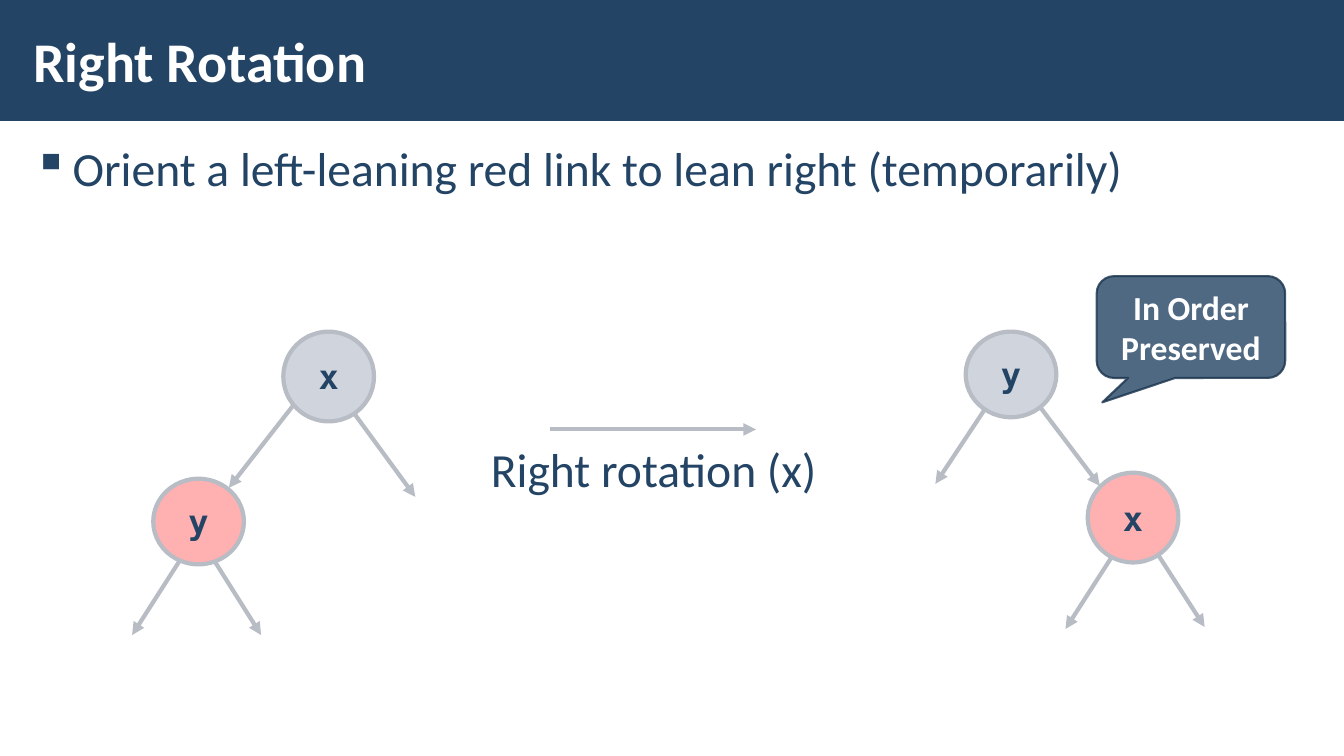
from dataclasses import dataclass

from lxml import etree
from pptx import Presentation
from pptx.dml.color import RGBColor
from pptx.enum.shapes import MSO_CONNECTOR, MSO_SHAPE
from pptx.enum.text import MSO_ANCHOR, PP_ALIGN
from pptx.oxml.ns import qn
from pptx.util import Inches, Pt

RECTANGLE, OVAL = MSO_SHAPE.RECTANGLE, MSO_SHAPE.OVAL
CALLOUT = MSO_SHAPE.ROUNDED_RECTANGULAR_CALLOUT
STRAIGHT = MSO_CONNECTOR.STRAIGHT
TOP, MIDDLE = MSO_ANCHOR.TOP, MSO_ANCHOR.MIDDLE
LEFT, CENTER = PP_ALIGN.LEFT, PP_ALIGN.CENTER

WIDTH, HEIGHT = Inches(13.33), Inches(7.5)
NAVY, DARK, WHITE = "234465", "1A334C", "FFFFFF"
GREY, SLATE, PINK = "B8BCC4", "A3ABBC", "FFB0B0"
SANS, MONO = "Calibri", "DejaVu Sans Mono"
NODE_WIDTH = 6.75


@dataclass(frozen=True)
class Area:
    left: float
    top: float
    width: float
    height: float


@dataclass(frozen=True)
class Style:
    size: float
    color: str = NAVY
    bold: bool = False
    font: str = SANS
    align: PP_ALIGN = LEFT
    anchor: MSO_ANCHOR = TOP
    wrap: bool = True
    line_spacing: float = 1.0
    gap: float = 0
    bullet: str = ""


@dataclass(frozen=True)
class Node:
    label: str
    left: float
    top: float
    height: float
    fill: str
    opacity: int = 100


@dataclass(frozen=True)
class Arrow:
    x1: float
    y1: float
    x2: float
    y2: float


NODES = (
    Node("x", 21.08, 43.87, 11.87, SLATE, 50),
    Node("y", 11.4, 63.33, 11.33, PINK),
    Node("x", 80.93, 62.53, 11.87, PINK),
    Node("y", 71.85, 43.87, 11.33, SLATE, 50),
)
ARROWS = (
    Arrow(40.95, 56.8, 56.25, 56.8),
    Arrow(21.83, 53.6, 17.03, 64.53),
    Arrow(13.43, 74, 9.83, 84),
    Arrow(15.98, 74.27, 19.43, 84),
    Arrow(26.4, 54.8, 30.9, 65.73),
    Arrow(77.4, 53.87, 81.83, 64.27),
    Arrow(73.28, 54.13, 69.6, 64),
    Arrow(82.65, 73.87, 79.28, 83.2),
    Arrow(86.1, 73.2, 89.63, 82.93),
)
TITLE = Style(40, WHITE, bold=True, anchor=MIDDLE)
BODY = Style(34, line_spacing=1.05, gap=6, bullet="▪")
CAPTION = Style(34, align=CENTER, line_spacing=0.95, gap=6)
NOTE = Style(24, WHITE, bold=True, align=CENTER, anchor=MIDDLE)
KEY = Style(24, bold=True, font=MONO, align=CENTER, anchor=MIDDLE, wrap=False)


def rgb(value: str) -> RGBColor:
    return RGBColor.from_string(value)


def across(share: float) -> int:
    return round(WIDTH * share / 100)


def down(share: float) -> int:
    return round(HEIGHT * share / 100)


def bounds(area: Area) -> tuple[int, int, int, int]:
    return across(area.left), down(area.top), across(area.width), down(area.height)


def set_opacity(paint, percent: int) -> None:
    """Make the solid colours below an XML element partly transparent."""
    if percent < 100:
        for color in paint.iter(qn("a:srgbClr")):
            etree.SubElement(color, qn("a:alpha"), val=str(percent * 1000))


def write(box, text: str, style: Style) -> None:
    frame = box.text_frame
    frame.word_wrap = style.wrap
    frame.vertical_anchor = style.anchor
    para = frame.paragraphs[0]
    para.alignment = style.align
    para.line_spacing = style.line_spacing
    para.space_before = para.space_after = Pt(style.gap)
    if style.bullet:
        properties = para._p.get_or_add_pPr()
        properties.set("marL", str(Inches(0.39)))
        properties.set("indent", str(-Inches(0.39)))
        etree.SubElement(properties, qn("a:buChar"), char=style.bullet)
    span = para.add_run()
    span.text = text
    span.font.name = style.font
    span.font.size = Pt(style.size)
    span.font.bold = style.bold
    span.font.color.rgb = rgb(style.color)


def add_text(page, area: Area, text: str, style: Style) -> None:
    box = page.shapes.add_textbox(*bounds(area))
    frame = box.text_frame
    frame.margin_left = frame.margin_right = Inches(0.12)
    frame.margin_top = frame.margin_bottom = Inches(0.04)
    write(box, text, style)


def add_figure(page, kind: MSO_SHAPE, area: Area, fill: str, opacity: int = 100):
    shape = page.shapes.add_shape(kind, *bounds(area))
    shape.shadow.inherit = False
    shape.fill.solid()
    shape.fill.fore_color.rgb = rgb(fill)
    set_opacity(shape.element.spPr, opacity)
    shape.line.fill.background()
    return shape


def outline(shape, color: str, width: float) -> None:
    shape.line.color.rgb = rgb(color)
    shape.line.width = Pt(width)


def add_node(page, node: Node) -> None:
    area = Area(node.left, node.top, NODE_WIDTH, node.height)
    shape = add_figure(page, OVAL, area, node.fill, node.opacity)
    outline(shape, GREY, 3)
    write(shape, node.label, KEY)


def add_arrow(page, arrow: Arrow) -> None:
    link = page.shapes.add_connector(
        STRAIGHT, across(arrow.x1), down(arrow.y1), across(arrow.x2), down(arrow.y2)
    )
    outline(link, GREY, 3)
    etree.SubElement(link.line._get_or_add_ln(), qn("a:tailEnd"), type="triangle")
    etree.SubElement(link.element.spPr, qn("a:effectLst"))


def add_callout(page, area: Area, text: str) -> None:
    shape = add_figure(page, CALLOUT, area, NAVY, 80)
    for index, value in enumerate((-0.47, 0.74, 0.17)):
        shape.adjustments[index] = value
    outline(shape, DARK, 1.5)
    set_opacity(shape.line._get_or_add_ln(), 80)
    write(shape, text, NOTE)


def main() -> None:
    deck = Presentation()
    deck.slide_width, deck.slide_height = WIDTH, HEIGHT
    page = deck.slides.add_slide(deck.slide_layouts[6])
    add_figure(page, RECTANGLE, Area(0, 0, 100, 16), NAVY)
    add_text(page, Area(1.58, 17.47, 96.9, 80.67),
             "Orient a left-leaning red link to lean right (temporarily)", BODY)
    add_text(page, Area(1.58, 1.47, 79.73, 12.93), "Right Rotation", TITLE)
    add_text(page, Area(30.98, 58.27, 35.33, 8.67), "Right rotation (x)", CAPTION)
    add_callout(page, Area(81.6, 36.53, 14.03, 13.47), "In Order Preserved")
    for node in NODES:
        add_node(page, node)
    for arrow in ARROWS:
        add_arrow(page, arrow)
    deck.save("out.pptx")


if __name__ == "__main__":
    main()
